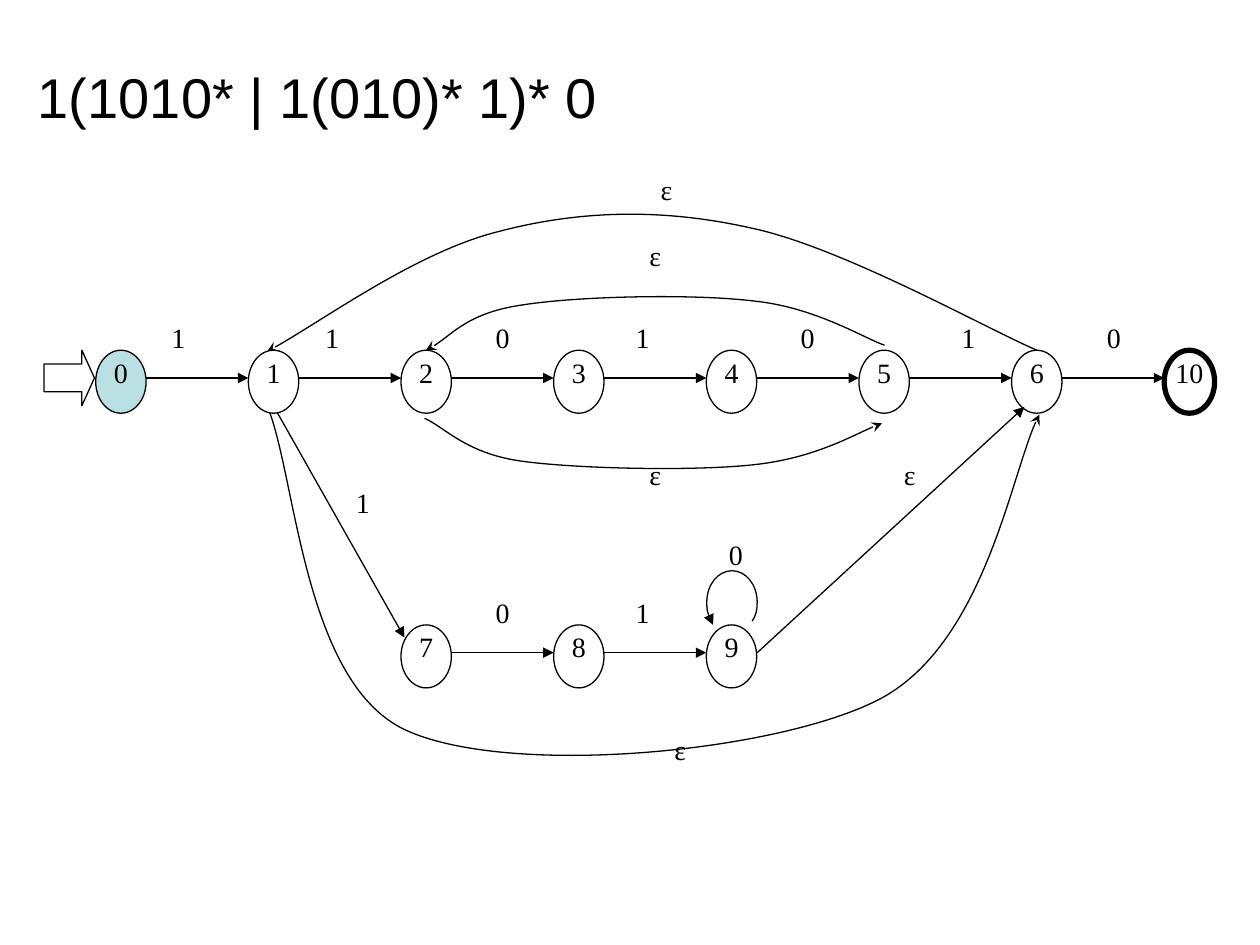
from lxml.etree import SubElement
from pptx import Presentation
from pptx.dml.color import RGBColor
from pptx.enum.shapes import MSO_CONNECTOR, MSO_SHAPE
from pptx.enum.text import MSO_ANCHOR, PP_ALIGN
from pptx.oxml.ns import qn
from pptx.util import Inches, Pt


def write(shape, text, size=16, font="Times New Roman", color="000000",
          align=PP_ALIGN.CENTER, anchor=MSO_ANCHOR.TOP, spacing=1.0, inset=0):
    frame = shape.text_frame
    frame.word_wrap = True
    frame.vertical_anchor = anchor
    frame.margin_left = frame.margin_right = Inches(inset)
    frame.margin_top = frame.margin_bottom = Inches(inset / 2)
    paragraph = frame.paragraphs[0]
    paragraph.alignment = align
    paragraph.line_spacing = spacing
    run = paragraph.add_run()
    run.text = text
    run.font.size = Pt(size)
    run.font.name = font
    run.font.color.rgb = RGBColor.from_string(color)


def outline(shape, width=0.75, arrow=None):
    """Give a shape or connector a black line, an optional end arrow and no shadow."""
    shape.line.color.rgb = RGBColor.from_string("000000")
    shape.line.width = Pt(width)
    properties = shape.element.spPr
    if arrow:
        SubElement(properties.find(qn("a:ln")), qn("a:tailEnd"), type=arrow)
    SubElement(properties, qn("a:effectLst"))


presentation = Presentation()
presentation.slide_width, presentation.slide_height = Inches(10), Inches(7.5)
slide = presentation.slides.add_slide(presentation.slide_layouts[5])
shapes = slide.shapes

title = shapes.title
title.left, title.top = Inches(0.2), Inches(0.21)
title.width, title.height = Inches(9), Inches(1.1)
write(title, "1(1010* | 1(010)* 1)* 0", size=32, font="Arial",
      align=PP_ALIGN.LEFT, anchor=MSO_ANCHOR.MIDDLE, inset=0.1)

STATE_W, STATE_H = 0.4, 0.5
UPPER, LOWER = 2.78, 4.96
columns = [0.76 + column * (9.24 - 0.76) / 7 for column in range(8)]

# Curved transitions: start point, then three points per Bézier segment
curves = [
    ("stealth", [(8.23, 2.78), (7.85, 2.62), (6.68, 1.96), (5.96, 1.81),
                 (5.25, 1.65), (4.59, 1.67), (3.95, 1.84),
                 (3.31, 2), (2.5, 2.59), (2.12, 2.79)]),
    ("stealth", [(7.02, 2.74), (6.85, 2.68), (6.47, 2.44), (5.99, 2.39),
                 (5.51, 2.33), (4.59, 2.35), (4.15, 2.42),
                 (3.72, 2.48), (3.54, 2.71), (3.38, 2.78)]),
    ("stealth", [(3.37, 3.32), (3.53, 3.39), (3.7, 3.6), (4.14, 3.66),
                 (4.57, 3.72), (5.49, 3.74), (5.97, 3.69),
                 (6.45, 3.64), (6.83, 3.42), (7, 3.36)]),
    ("stealth", [(2.12, 3.22), (2.35, 3.76), (2.4, 5.4), (3.21, 5.79),
                 (4.02, 6.17), (6.12, 5.98), (6.96, 5.56),
                 (7.8, 5.14), (8.04, 3.67), (8.25, 3.29)]),
    ("triangle", [(5.97, 4.93), (6, 4.89), (6.01, 4.84), (6.01, 4.78),
                  (6.01, 4.64), (5.92, 4.53), (5.81, 4.53),
                  (5.7, 4.53), (5.61, 4.64), (5.61, 4.78),
                  (5.61, 4.85), (5.63, 4.91), (5.66, 4.96)]),
]
for arrow, points in curves:
    start, *rest = [(Inches(x), Inches(y)) for x, y in points]
    builder = shapes.build_freeform(*start)
    builder.add_line_segments(rest, close=False)
    transition = builder.convert_to_shape()
    transition.fill.background()
    outline(transition, arrow=arrow)
    # Merge every three straight segments into one cubic segment
    segments = list(transition.element.iter(qn("a:lnTo")))
    for first in range(0, len(segments), 3):
        cubic = SubElement(segments[first].getparent(), qn("a:cubicBezTo"))
        for segment in segments[first:first + 3]:
            cubic.append(segment[0])
            segment.getparent().remove(segment)

entry = shapes.add_shape(MSO_SHAPE.RIGHT_ARROW, Inches(0.35), Inches(UPPER),
                         Inches(0.4), Inches(0.44))
entry.adjustments[0], entry.adjustments[1] = 0.5, 0.25
entry.fill.solid()
entry.fill.fore_color.rgb = RGBColor.from_string("FFFFFF")
outline(entry)

# Straight transitions; the one leaving state 1 starts behind its circle
rows = [(UPPER, 0, ["0", "1", "2", "3", "4", "5", "6", "10"]),
        (LOWER, 2, ["7", "8", "9"])]
transitions = [((2.17, 3.22), (3.21, 5.06)), ((6.01, 5.18), (8.13, 3.23))]
for top, first, names in rows:
    for column in range(first, first + len(names) - 1):
        transitions.append(((columns[column] + STATE_W, top + 0.22),
                            (columns[column + 1], top + 0.22)))
for number, (start, end) in enumerate(transitions):
    connector = shapes.add_connector(
        MSO_CONNECTOR.STRAIGHT, *[Inches(value) for value in start + end])
    outline(connector, arrow="triangle")
    if number > 0:
        continue
    for top, first, names in rows:
        for column, name in enumerate(names, first):
            state = shapes.add_shape(MSO_SHAPE.OVAL, Inches(columns[column]), Inches(top),
                                     Inches(STATE_W), Inches(STATE_H))
            state.fill.solid()
            state.fill.fore_color.rgb = RGBColor.from_string(
                "BBE0E3" if name == "0" else "FFFFFF")
            outline(state, width=3 if name == "10" else 0.75)
            write(state, name, spacing=0.88)

# Transition labels: symbol, left, top, width, alignment
CENTER, JUSTIFY = PP_ALIGN.CENTER, PP_ALIGN.JUSTIFY
labels = [
    ("1", 1.36, 2.56, 0.2, JUSTIFY), ("1", 2.58, 2.56, 0.2, JUSTIFY),
    ("0", 3.79, 2.56, 0.4, CENTER), ("1", 5, 2.56, 0.2, CENTER),
    ("0", 6.21, 2.56, 0.4, CENTER), ("1", 7.63, 2.56, 0.4, JUSTIFY),
    ("0", 8.64, 2.56, 0.4, CENTER), ("0", 3.79, 4.74, 0.4, CENTER),
    ("1", 5, 4.74, 0.2, CENTER), ("0", 5.64, 4.28, 0.4, CENTER),
    ("1", 2.78, 3.87, 0.2, CENTER), ("ε", 5.09, 1.39, 0.4, CENTER),
    ("ε", 5, 1.91, 0.4, CENTER), ("ε", 5, 3.65, 0.4, CENTER),
    ("ε", 7.02, 3.65, 0.4, CENTER), ("ε", 5.2, 5.83, 0.4, CENTER),
]
for symbol, left, top, width, align in labels:
    label = shapes.add_textbox(Inches(left), Inches(top), Inches(width), Inches(0.44))
    write(label, symbol, align=align, spacing=0.96)

presentation.save("out.pptx")
